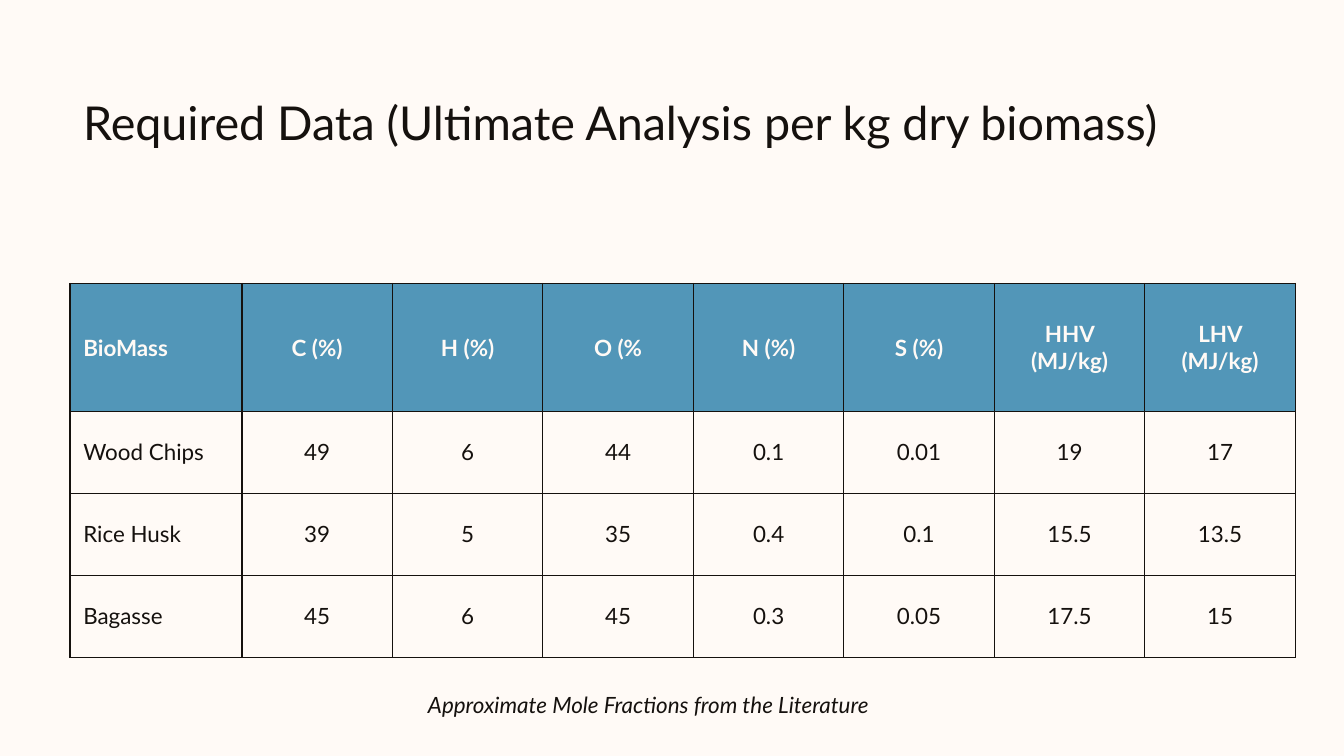
from lxml.etree import SubElement
from pptx import Presentation
from pptx.dml.color import RGBColor
from pptx.enum.text import MSO_ANCHOR, PP_ALIGN
from pptx.oxml.ns import qn
from pptx.util import Inches, Pt

FONT = "Lato"
INK = "15110E"
CREAM = "FFFAF6"
BLUE = "5296B8"

ROWS = [
    ["BioMass", "C (%)", "H (%)", "O (%", "N (%)", "S (%)", "HHV (MJ/kg)", "LHV (MJ/kg)"],
    ["Wood Chips", "49", "6", "44", "0.1", "0.01", "19", "17"],
    ["Rice Husk", "39", "5", "35", "0.4", "0.1", "15.5", "13.5"],
    ["Bagasse", "45", "6", "45", "0.3", "0.05", "17.5", "15"],
]


def color(value):
    return RGBColor.from_string(value)


def add_run(paragraph, text, size, fill, bold=False, italic=False):
    run = paragraph.add_run()
    run.text = text
    run.font.name = FONT
    run.font.size = Pt(size)
    run.font.bold = bold
    run.font.italic = italic
    run.font.color.rgb = color(fill)


def set_margins(target, horizontal, vertical):
    target.margin_left = target.margin_right = Inches(horizontal)
    target.margin_top = target.margin_bottom = Inches(vertical)


def add_text(slide, left, top, width, height, text, size, align=PP_ALIGN.LEFT, italic=False):
    box = slide.shapes.add_textbox(Inches(left), Inches(top), Inches(width), Inches(height))
    frame = box.text_frame
    frame.word_wrap = True
    set_margins(frame, 0.1, 0.1)
    paragraph = frame.paragraphs[0]
    paragraph.alignment = align
    add_run(paragraph, text, size, INK, italic=italic)


def add_borders(cell):
    properties = cell._tc.get_or_add_tcPr()
    for side in ("a:lnL", "a:lnR", "a:lnT", "a:lnB"):
        line = SubElement(properties, qn(side), w=str(Pt(0.75)))
        fill = SubElement(line, qn("a:solidFill"))
        SubElement(fill, qn("a:srgbClr"), val=INK)


def fill_cell(cell, text, is_header, is_label):
    add_borders(cell)
    if is_header:
        cell.fill.solid()
        cell.fill.fore_color.rgb = color(BLUE)
    else:
        cell.fill.background()
    set_margins(cell, 0.1 if is_header or is_label else 0, 0.07 if is_header else 0)
    cell.vertical_anchor = MSO_ANCHOR.MIDDLE
    paragraph = cell.text_frame.paragraphs[0]
    paragraph.alignment = PP_ALIGN.LEFT if is_label else PP_ALIGN.CENTER
    add_run(paragraph, text, 12, CREAM if is_header else INK, bold=is_header)


def add_biomass_table(slide, left, top, width, height, label_width=1.28, header_height=0.95):
    row_count, column_count = len(ROWS), len(ROWS[0])
    frame = slide.shapes.add_table(
        row_count, column_count, Inches(left), Inches(top), Inches(width), Inches(height)
    )
    table = frame.table
    table.horz_banding = False
    value_width = (width - label_width) / (column_count - 1)
    body_height = (height - header_height) / (row_count - 1)
    for index, column in enumerate(table.columns):
        column.width = Inches(value_width if index else label_width)
    for index, row in enumerate(table.rows):
        row.height = Inches(body_height if index else header_height)
    for row_index, values in enumerate(ROWS):
        for column_index, text in enumerate(values):
            fill_cell(table.cell(row_index, column_index), text, row_index == 0, column_index == 0)


def main():
    presentation = Presentation()
    presentation.slide_width = Inches(10)
    presentation.slide_height = Inches(10 * 9 / 16)
    slide = presentation.slides.add_slide(presentation.slide_layouts[6])
    slide.background.fill.solid()
    slide.background.fill.fore_color.rgb = color(CREAM)
    add_text(slide, 0.52, 0.6, 8.61, 1, "Required Data (Ultimate Analysis per kg dry biomass)", 25)
    add_biomass_table(slide, 0.52, 2.11, 9.12, 2.78)
    add_text(
        slide, 0.65, 5.04, 8.35, 0.33, "Approximate Mole Fractions from the Literature", 12,
        align=PP_ALIGN.CENTER, italic=True,
    )
    presentation.save("out.pptx")


if __name__ == "__main__":
    main()
